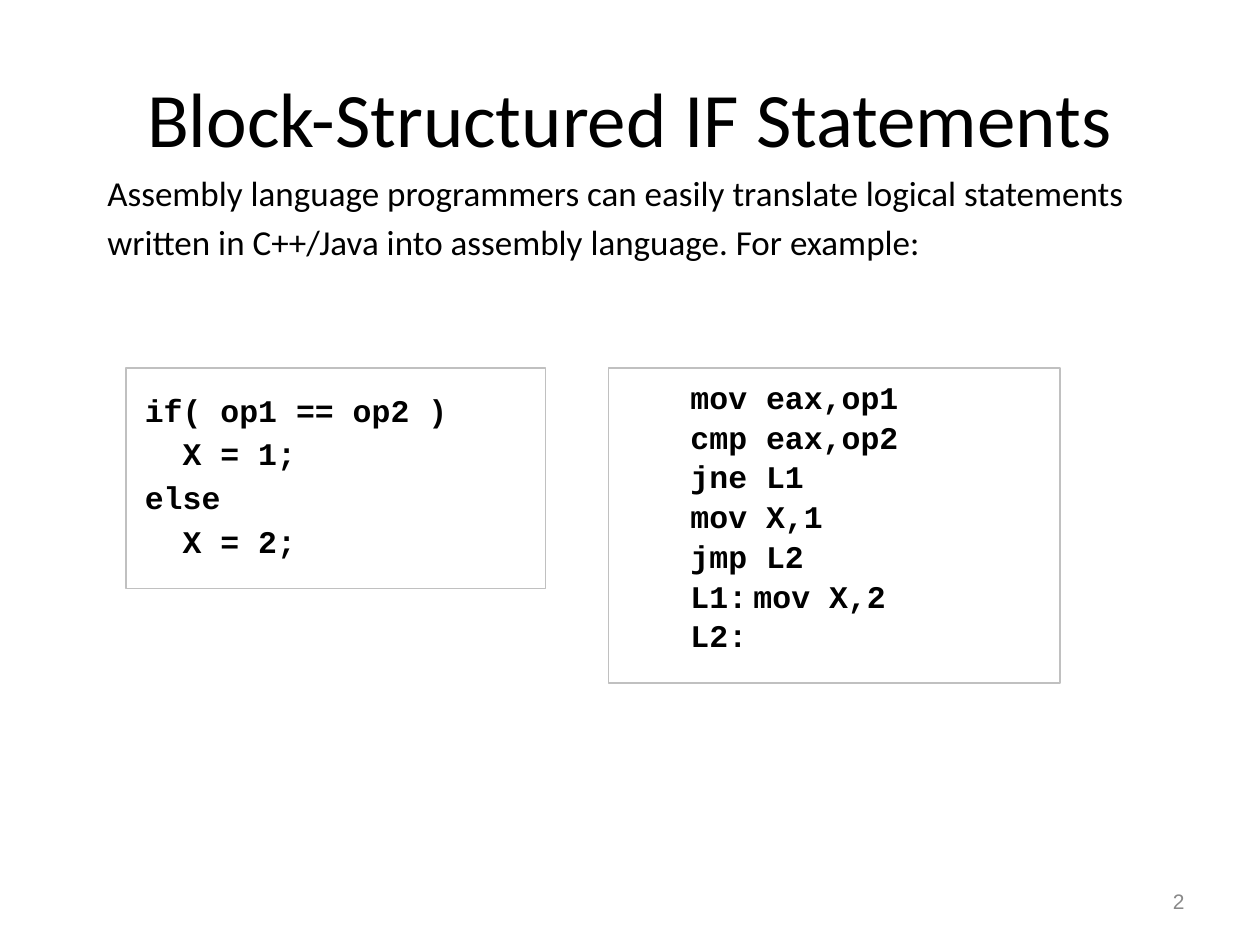
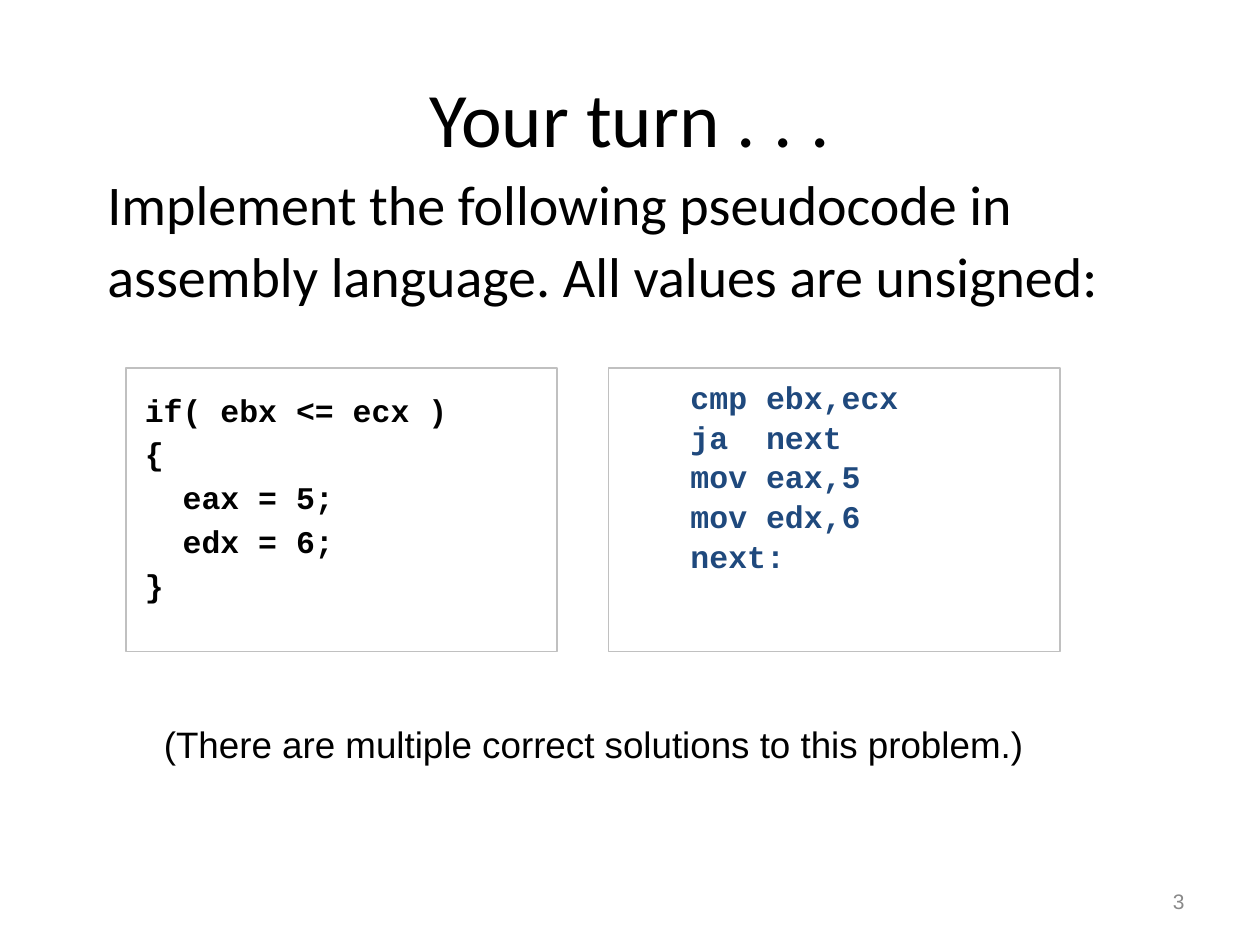
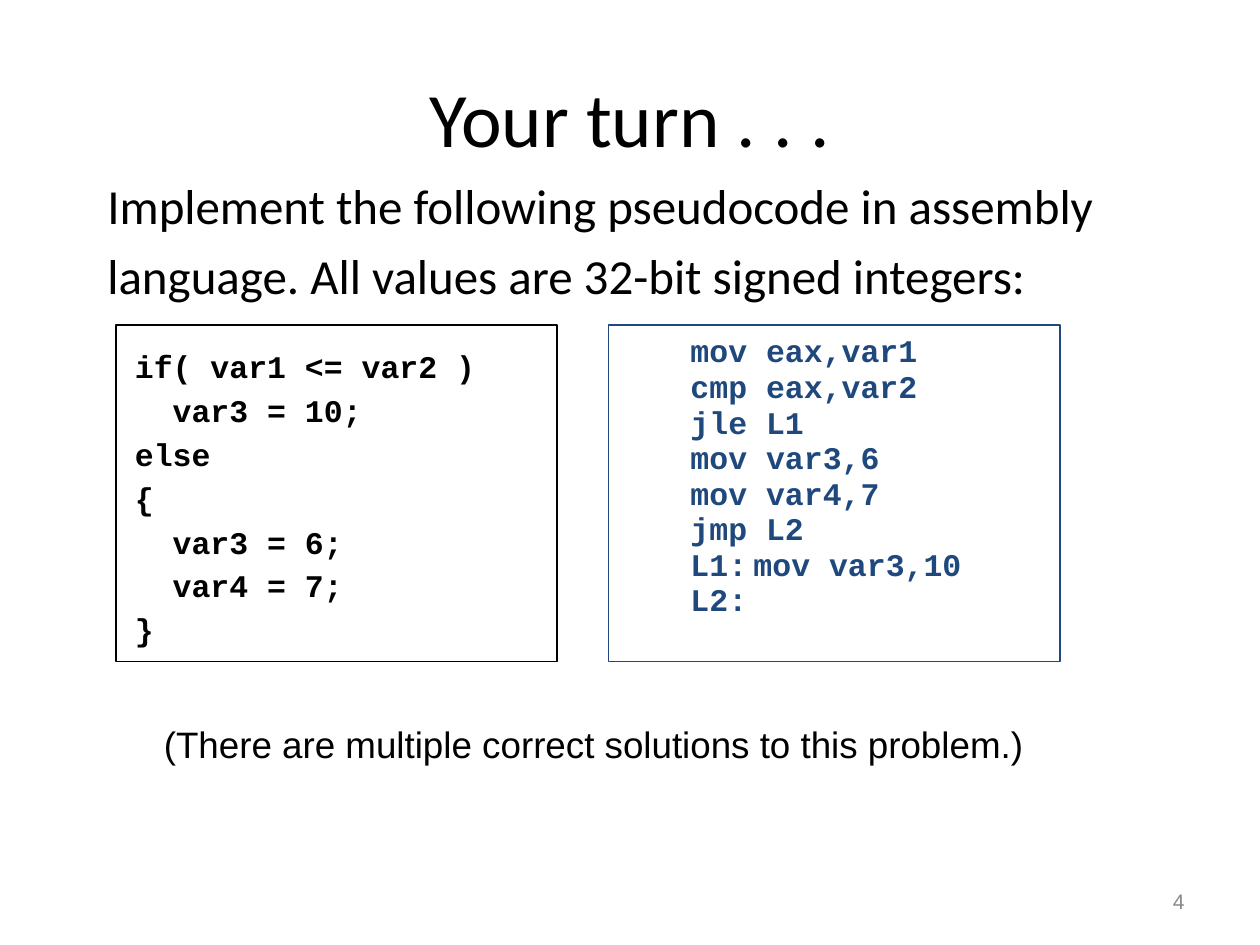
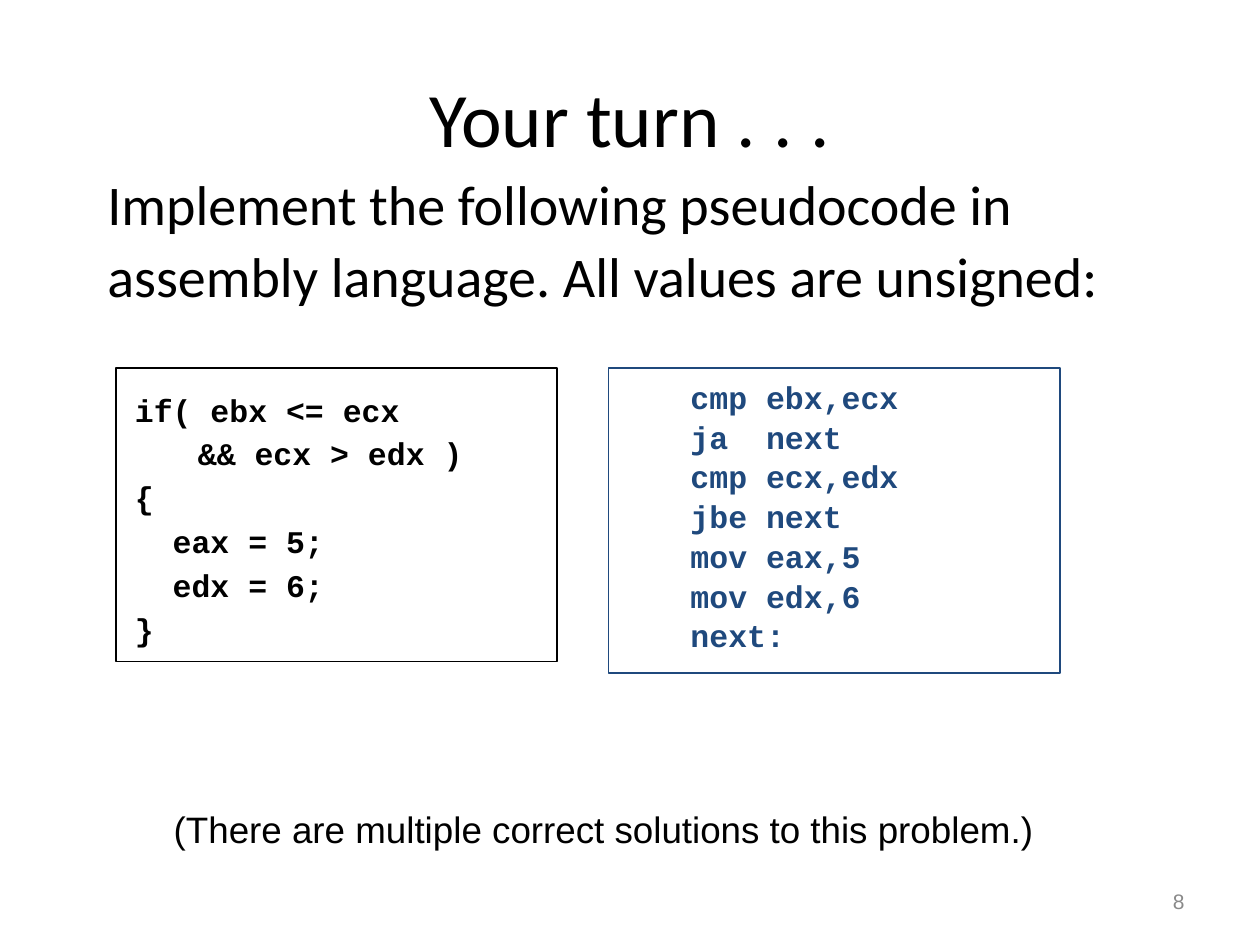
from lxml.etree import SubElement
from pptx import Presentation
from pptx.dml.color import RGBColor
from pptx.enum.shapes import MSO_SHAPE
from pptx.enum.text import MSO_ANCHOR, MSO_AUTO_SIZE, PP_ALIGN
from pptx.oxml.ns import qn
from pptx.util import Cm, Pt

COLORS = {"black": "000000", "blue": "1F497D", "silver": "C0C0C0", "gray": "898989"}

# Character formats
TITLE = {"name": "Calibri", "size": Pt(44)}
CODE = {"name": "Courier New", "size": Pt(18), "bold": True}
NOTE = {"name": "Arial", "size": Pt(21)}
NUMBER = {"name": "Arial", "size": Pt(12)}

# Shared places: left, top, width, height in cm
TITLE_AREA = (1.27, 0.76, 22.86, 3.18)
NUMBER_AREA = (18.21, 17.65, 5.92, 1.02)
ASSEMBLY_LEFT, ASSEMBLY_WIDTH = 12.27, 9.1
TAB_STEP = 1.27

NOTE_TEXT = "(There are multiple correct solutions to this problem.)"
UNSIGNED_TASK = ("Implement the following pseudocode in assembly language. "
                 "All values are unsigned:")


def place(box, area):
    for name, length in zip(("left", "top", "width", "height"), area):
        setattr(box, name, Cm(length))


def set_frame(frame, **values):
    values = {"word_wrap": True, "auto_size": MSO_AUTO_SIZE.NONE, **values}
    for name, value in values.items():
        setattr(frame, name, value)


def write(para, text, font, color="black", **layout):
    """Put one formatted run in a paragraph and set its layout."""
    for name, value in layout.items():
        setattr(para, name, value)
    span = para.add_run()
    span.text = text
    for name, value in font.items():
        setattr(span.font, name, value)
    span.font.color.rgb = RGBColor.from_string(COLORS[color])


def add_tabs(para, indent):
    properties = para._p.get_or_add_pPr()
    properties.set("marL", str(Cm(indent)))
    properties.set("indent", "0")
    tabs = SubElement(properties, qn("a:tabLst"))
    for step in (1, 2):
        SubElement(tabs, qn("a:tab"), pos=str(Cm(step * TAB_STEP)), algn="l")


def add_page(deck, title, number):
    page = deck.slides.add_slide(deck.slide_layouts[1])
    place(page.shapes.title, TITLE_AREA)
    frame = page.shapes.title.text_frame
    set_frame(frame, vertical_anchor=MSO_ANCHOR.MIDDLE)
    write(frame.paragraphs[0], title, TITLE, alignment=PP_ALIGN.CENTER)
    add_label(page, number, NUMBER_AREA, NUMBER, "gray", PP_ALIGN.RIGHT,
              vertical_anchor=MSO_ANCHOR.MIDDLE)
    return page


def add_task(page, text, size, spacing, height=3.38):
    body = page.placeholders[1]
    place(body, (1.91, 3.18, 21.59, height))
    set_frame(body.text_frame, vertical_anchor=MSO_ANCHOR.TOP)
    para = body.text_frame.paragraphs[0]
    properties = para._p.get_or_add_pPr()
    properties.set("marL", "0")
    properties.set("indent", "0")
    SubElement(properties, qn("a:buNone"))
    write(para, text, {"name": "Calibri", "size": Pt(size)},
          line_spacing=spacing, space_before=Pt(0))


def add_label(page, text, area, font, color, alignment, **frame_values):
    box = page.shapes.add_textbox(*map(Cm, area))
    set_frame(box.text_frame, **frame_values)
    write(box.text_frame.paragraphs[0], text, font, color, alignment=alignment)


def add_note(page, left, top):
    add_label(page, NOTE_TEXT, (left, top, 20.12, 1.65), NOTE, "black", PP_ALIGN.CENTER,
              margin_top=Cm(0.38), margin_bottom=Cm(0.38),
              auto_size=MSO_AUTO_SIZE.SHAPE_TO_FIT_TEXT)


def add_code(page, lines, area, border, color, spacing, before, indent=0):
    box = page.shapes.add_shape(MSO_SHAPE.RECTANGLE, *map(Cm, area))
    box.shadow.inherit = False
    box.fill.background()
    box.line.color.rgb = RGBColor.from_string(COLORS[border])
    box.line.width = Pt(0.75)
    frame = box.text_frame
    set_frame(frame, vertical_anchor=MSO_ANCHOR.TOP,
              margin_left=Cm(0.38), margin_right=Cm(0.38),
              margin_top=Cm(0.51), margin_bottom=Cm(0.51))
    for index, line in enumerate(lines):
        para = frame.add_paragraph() if index else frame.paragraphs[0]
        add_tabs(para, indent)
        write(para, line, CODE, color, alignment=PP_ALIGN.LEFT, line_spacing=spacing,
              space_before=Pt(before if index else 0))


def add_pseudocode(page, lines, area, border):
    add_code(page, lines, area, border, "black", spacing=0.95, before=4.5)


def add_assembly(page, lines, top, height, border, color="blue", spacing=0.53):
    area = (ASSEMBLY_LEFT, top, ASSEMBLY_WIDTH, height)
    add_code(page, lines, area, border, color, spacing, before=11.25, indent=TAB_STEP)


def main():
    deck = Presentation()
    deck.slide_width, deck.slide_height = Cm(25.4), Cm(19.05)

    # Block-structured IF
    page = add_page(deck, "Block-Structured IF Statements", "2")
    add_task(page, "Assembly language programmers can easily translate logical statements "
                   "written in C++/Java into assembly language. For example:",
             20, 1.17, height=3.61)
    add_assembly(page, ["mov eax,op1", "cmp eax,op2", "jne L1", "mov X,1", "jmp L2",
                        "L1:\tmov X,2", "L2:"], 7.42, 6.35, "silver", "black")
    add_pseudocode(page, ["if( op1 == op2 )", "  X = 1;", "else", "  X = 2;"],
                   (2.54, 7.42, 8.46, 4.45), "silver")

    # Unsigned comparison
    page = add_page(deck, "Your turn . . .", "3")
    add_task(page, UNSIGNED_TASK, 32, 1.08)
    add_assembly(page, ["cmp ebx,ecx", "ja  next", "mov eax,5", "mov edx,6", "next:"],
                 7.42, 5.72, "silver")
    add_pseudocode(page, ["if( ebx <= ecx )", "{", "  eax = 5;", "  edx = 6;", "}"],
                   (2.54, 7.42, 8.69, 5.72), "silver")
    add_note(page, 1.91, 14.17)

    # Signed comparison with else
    page = add_page(deck, "Your turn . . .", "4")
    add_task(page, "Implement the following pseudocode in assembly language. "
                   "All values are 32-bit signed integers:", 28, 1.19)
    add_assembly(page, ["mov eax,var1", "cmp eax,var2", "jle L1", "mov var3,6", "mov var4,7",
                        "jmp L2", "L1:\tmov var3,10", "L2:"], 6.55, 6.78, "blue", spacing=0.42)
    add_pseudocode(page, ["if( var1 <= var2 )", "  var3 = 10;", "else", "{",
                          "  var3 = 6;", "  var4 = 7;", "}"],
                   (2.34, 6.55, 8.89, 6.78), "black")
    add_note(page, 1.91, 14.17)

    # Compound condition with AND
    page = add_page(deck, "Your turn . . .", "8")
    add_task(page, UNSIGNED_TASK, 32, 1.08)
    add_assembly(page, ["cmp ebx,ecx", "ja  next", "cmp ecx,edx", "jbe next", "mov eax,5",
                        "mov edx,6", "next:"], 7.42, 6.15, "blue")
    add_pseudocode(page, ["if( ebx <= ecx", "\t&& ecx > edx )", "{", "  eax = 5;",
                          "  edx = 6;", "}"],
                   (2.34, 7.42, 8.89, 5.92), "black")
    add_note(page, 2.11, 15.88)

    deck.save("out.pptx")


if __name__ == "__main__":
    main()
